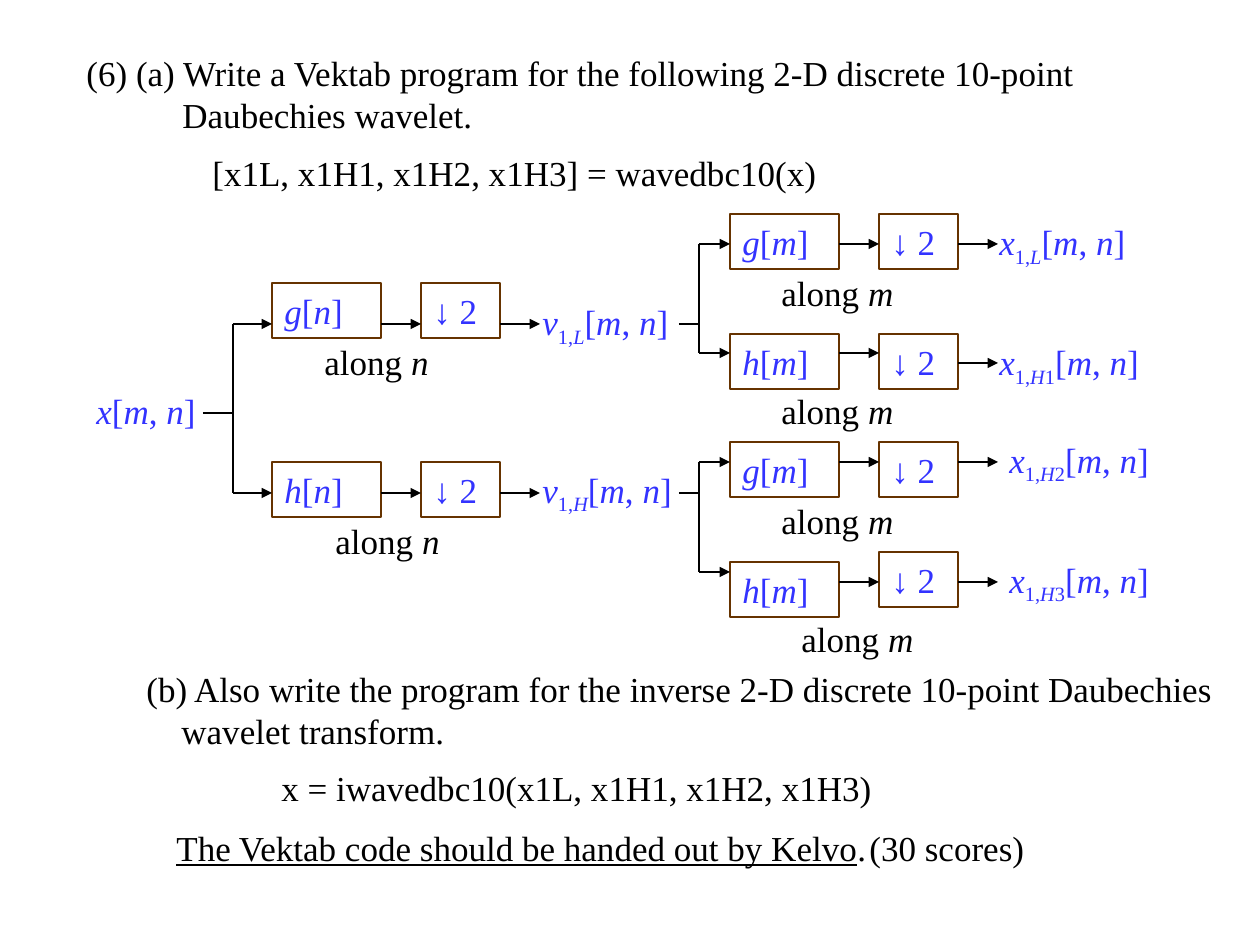
"""Build the slide about a 2-D discrete 10-point Daubechies wavelet program."""
from itertools import groupby
from lxml.etree import SubElement
from pptx import Presentation
from pptx.dml.color import RGBColor
from pptx.enum.shapes import MSO_CONNECTOR, MSO_SHAPE
from pptx.enum.text import MSO_ANCHOR, MSO_AUTO_SIZE, PP_ALIGN
from pptx.oxml.ns import qn
from pptx.util import Emu, Pt

SCALE = 914400 // 126


class Theme:
    ink = RGBColor(0x00, 0x00, 0x00)
    formula = RGBColor(0x33, 0x33, 0xFF)
    frame = RGBColor(0x66, 0x33, 0x00)
    font = "Times New Roman"
    size = Pt(20)
    line = Pt(0.75)


# left, top, width, height, margin, first-line indent, tab stop, lines of (text, underlined) runs
PROSE = [
    (74, 45, 1142, 97, 96, -96, None,
     [[("(6) (a) Write a Vektab program for the following 2-D discrete 10-point", False)],
      [("Daubechies wavelet.", False)]]),
    (174, 145, 745, 54, 26, 0, None,
     [[("[x1L, x1H1, x1H2, x1H3] = wavedbc10(x)", False)]]),
    (134, 661, 1091, 97, 35, -35, None,
     [[("(b) Also write the program for the inverse 2-D discrete 10-point Daubechies", False)],
      [("wavelet transform.", False)]]),
    (243, 760, 694, 54, 26, 0, None,
     [[("x = iwavedbc10(x1L, x1H1, x1H2, x1H3)", False)]]),
    (164, 820, 1032, 55, 0, 0, 802,
     [[("The Vektab code should be handed out by Kelvo", True), (".\t(30 scores)", False)]]),
]

COLUMN = {"n": 272, "m": 730}
FILTER_WIDTH, DOWN_WIDTH, GAP = 109, 79, 40
BOX_HEIGHT, LABEL_HEIGHT = 55, 54

# filter, index, filter top, down top, arrow in, arrow middle, arrow out, note, result, subscript, place
BRANCHES = [
    ("g", "n", 283, 283, 324, 324, 324, (312, 334), "v", "1,L", (530, 294)),
    ("h", "n", 462, 462, 493, 493, 493, (323, 513), "v", "1,H", (530, 462)),
    ("g", "m", 214, 214, 244, 244, 244, (769, 265), "x", "1,L", (987, 214)),
    ("h", "m", 334, 334, 353, 353, 363, (769, 383), "x", "1,H1", (987, 334)),
    ("g", "m", 442, 442, 462, 462, 462, (769, 493), "x", "1,H2", (997, 432)),
    ("h", "m", 562, 552, 572, 582, 582, (789, 611), "x", "1,H3", (997, 552)),
]

# stem start, trunk x, stem y, trunk top, trunk bottom
SPLITS = [(203, 233, 413, 324, 493), (679, 699, 324, 244, 353), (679, 699, 493, 462, 572)]
TRUNK = {"n": 233, "m": 699}

deck = Presentation()
deck.slide_width, deck.slide_height = Emu(1260 * SCALE), Emu(945 * SCALE)
page = deck.slides.add_slide(deck.slide_layouts[6])


def px(*lengths):
    return [Emu(length * SCALE) for length in lengths]


def prepare(box):
    frame = box.text_frame
    frame.word_wrap = True
    frame.auto_size = MSO_AUTO_SIZE.SHAPE_TO_FIT_TEXT
    frame.vertical_anchor = MSO_ANCHOR.TOP
    frame.margin_right = 0
    para = frame.paragraphs[0]
    para.alignment = PP_ALIGN.LEFT
    return para


def add_text(left, top, width, height):
    return prepare(page.shapes.add_textbox(*px(left, top, width, height)))


def add_box(left, top, width):
    box = page.shapes.add_shape(MSO_SHAPE.RECTANGLE, *px(left, top, width, BOX_HEIGHT))
    box.shadow.inherit = False
    box.fill.background()
    box.line.color.rgb = Theme.frame
    box.line.width = Theme.line
    return prepare(box)


def add_span(para, text, color=Theme.ink, italic=False, underline=False, lowered=False):
    span = para.add_run()
    span.text = text
    font = span.font
    font.name, font.size, font.color.rgb = Theme.font, Theme.size, color
    font.italic, font.underline = italic, underline
    if lowered:
        span._r.get_or_add_rPr().set("baseline", "-25000")


def add_formula(para, name, subscript="", index=""):
    for part, lowered in ((name, False), (subscript, True), (index, False)):
        for italic, letters in groupby(part, str.isalpha):
            add_span(para, "".join(letters), Theme.formula, italic, lowered=lowered)


def add_line(x1, y1, x2, y2, arrow=False):
    line = page.shapes.add_connector(MSO_CONNECTOR.STRAIGHT, *px(x1, y1, x2, y2))
    line.line.color.rgb = Theme.ink
    line.line.width = Theme.line
    if arrow:
        SubElement(line.line._get_or_add_ln(), qn("a:tailEnd"), type="triangle")
    SubElement(line._element.spPr, qn("a:effectLst"))


for left, top, width, height, margin, indent, tab, lines in PROSE:
    para = add_text(left, top, width, height)
    settings = para._p.get_or_add_pPr()
    settings.set("marL", str(margin * SCALE))
    settings.set("indent", str(indent * SCALE))
    if tab:
        stops = SubElement(settings, qn("a:tabLst"))
        SubElement(stops, qn("a:tab"), pos=str(tab * SCALE), algn="l")
    for number, spans in enumerate(lines):
        if number:
            para.add_line_break()
        for text, underline in spans:
            add_span(para, text, underline=underline)

add_formula(add_text(84, 383, 129, LABEL_HEIGHT), "x", index="[m, n]")

for start, trunk, middle, top, bottom in SPLITS:
    add_line(start, middle, trunk, middle)
    add_line(trunk, top, trunk, bottom)

for (name, index, filter_top, down_top, y_in, y_middle, y_out,
     note, result, subscript, place) in BRANCHES:
    filter_left = COLUMN[index]
    filter_right = filter_left + FILTER_WIDTH
    down_left = filter_right + GAP
    down_right = down_left + DOWN_WIDTH
    add_formula(add_box(filter_left, filter_top, FILTER_WIDTH), name, index=f"[{index}]")
    add_formula(add_box(down_left, down_top, DOWN_WIDTH), "↓ 2")
    add_line(TRUNK[index], y_in, filter_left, y_in, arrow=True)
    add_line(filter_right, y_middle, down_left, y_middle, arrow=True)
    add_line(down_right, y_out, down_right + GAP, y_out, arrow=True)
    para = add_text(*note, 198, LABEL_HEIGHT)
    add_span(para, "along ")
    add_span(para, index, italic=True)
    add_formula(add_text(*place, 180, LABEL_HEIGHT), result, subscript, "[m, n]")

deck.save("out.pptx")
